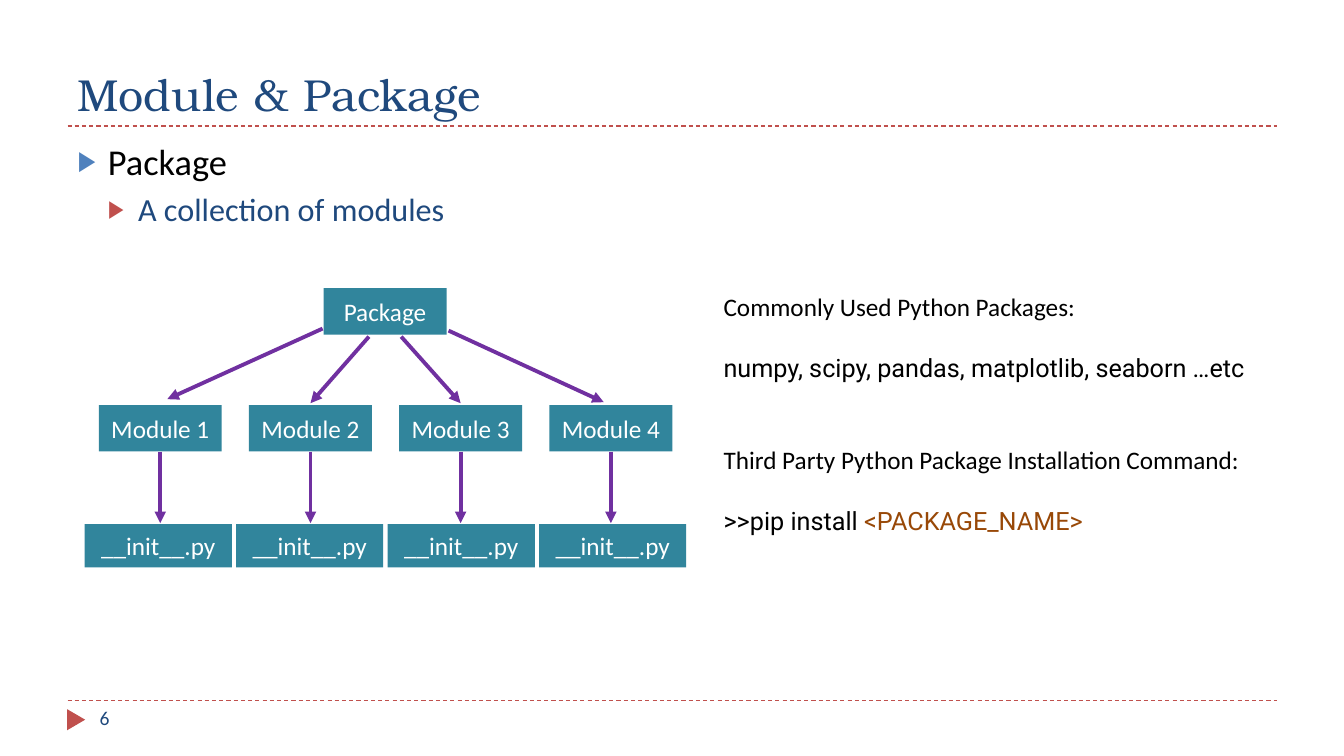
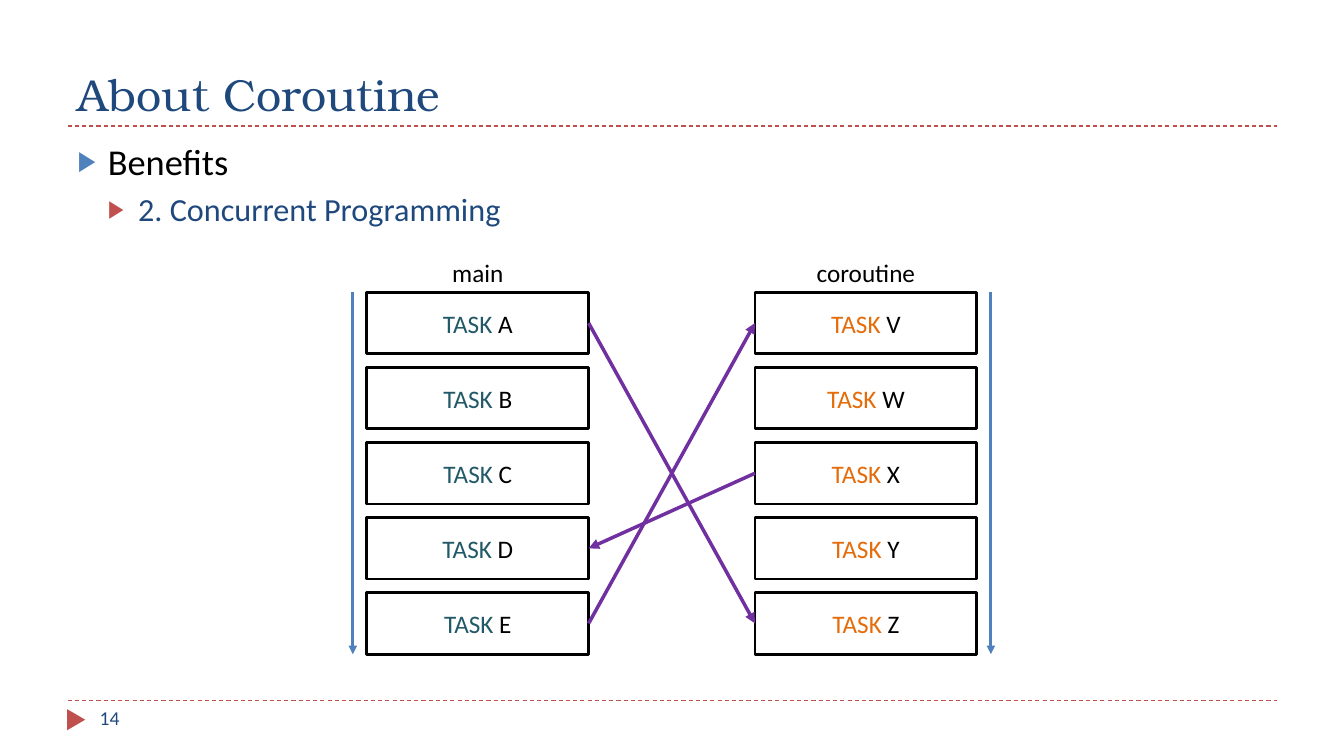
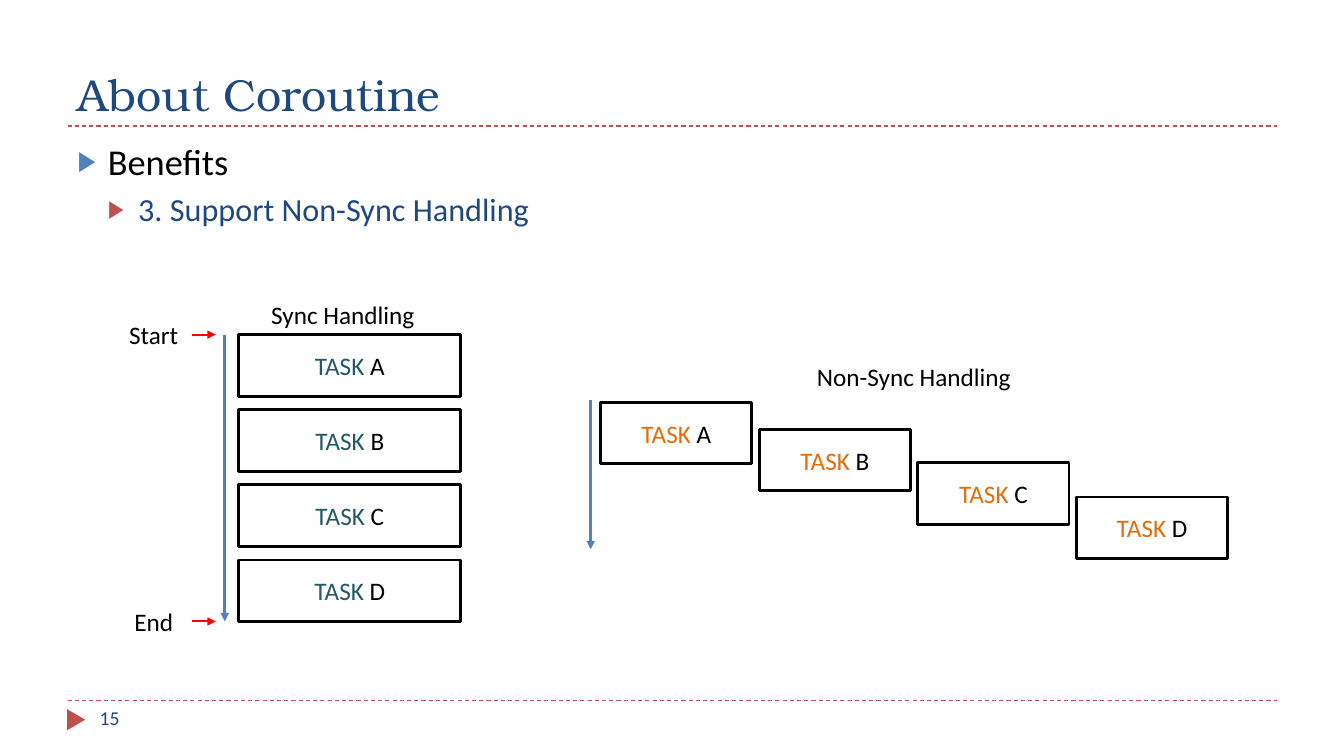
"""Three lecture slides on Python packages and coroutines."""
import lxml.etree
import pptx
import pptx.dml.color
import pptx.enum.dml
import pptx.enum.shapes
import pptx.enum.text
import pptx.oxml.ns
import pptx.util

COLORS = {
    "title": "1F497D", "text": "000000", "white": "FFFFFF",
    "accent": "C0504D", "blue": "4F81BD", "teal": "31859C",
    "dark_teal": "215968", "orange": "E46C0A", "brown": "984807",
    "purple": "7030A0", "red": "FF0000",
}
BODY_FONT, TITLE_FONT, CODE_FONT = "Calibri", "TeX Gyre Bonum", "Roboto"
CENTER = pptx.enum.text.PP_ALIGN.CENTER
LEFT = pptx.enum.text.PP_ALIGN.LEFT
MIDDLE = pptx.enum.text.MSO_ANCHOR.MIDDLE

# Task boxes, in grid cells
TASK_WIDTH, TASK_HEIGHT, TASK_PITCH = 22, 6.1, 7.45


def cells(count):
    """Return the length of a number of grid cells, ten to the inch."""
    return pptx.util.Inches(count / 10)


def color(name):
    """Return a named colour of the palette."""
    return pptx.dml.color.RGBColor.from_string(COLORS[name])


def add_xml(parent, tag, **attributes):
    """Append a DrawingML element to a parent element."""
    return lxml.etree.SubElement(parent, pptx.oxml.ns.qn(tag), attributes)


class Deck:
    """Holds the presentation, its style and the current slide."""

    def __init__(self):
        """Start a wide presentation and place the layout's placeholders."""
        self.presentation = pptx.Presentation()
        self.presentation.slide_width = cells(133.33)
        self.presentation.slide_height = cells(75)
        self.layout = self.presentation.slide_layouts[1]
        self.slide = None
        title, body = list(self.layout.placeholders)[:2]
        self.place(title, 6.7, 1.7, 120, 10.8)
        self.place(body, 6.7, 13.3, 120, 54)

    def place(self, shape, column, row, width, height):
        """Put a shape on the grid."""
        shape.left, shape.top = cells(column), cells(row)
        shape.width, shape.height = cells(width), cells(height)

    def add_text(self, paragraph, pieces, size=18, font=BODY_FONT, align=LEFT):
        """Fill a paragraph with (text, colour) pieces."""
        paragraph.alignment = align
        for text, color_name in pieces:
            run = paragraph.add_run()
            run.text = text
            run.font.size = pptx.util.Pt(size)
            run.font.name = font
            run.font.color.rgb = color(color_name)

    def add_slide(self, title, number, topic, detail):
        """Add a slide with its title, two-level list and number."""
        self.slide = self.presentation.slides.add_slide(self.layout)
        if len(self.presentation.slides) == 1:
            self.add_master_frame()
        heading, body = self.slide.placeholders
        for placeholder in (heading, body):
            placeholder.text_frame.auto_size = pptx.enum.text.MSO_AUTO_SIZE.NONE
        heading.text_frame.vertical_anchor = pptx.enum.text.MSO_ANCHOR.BOTTOM
        self.add_text(heading.text_frame.paragraphs[0], [(title, "title")],
                      32, TITLE_FONT)
        frame = body.text_frame
        self.bullet(frame.paragraphs[0], 0, topic, 26, "text", "blue")
        self.bullet(frame.add_paragraph(), 1, detail, 23, "title", "accent")
        self.label(8.9, 69.5, 28.9, [(str(number), "title")], 14, LEFT)

    def add_master_frame(self):
        """Draw the rules and corner marker once, on the slide master."""
        rules = [self.line((6.7, row), (126.7, row), "accent", 0.75)
                 for row in (12.5, 69.5)]
        for rule in rules:
            rule.line.dash_style = pptx.enum.dml.MSO_LINE.DASH
        marker = self.shape(6.5, 70.5, 2.1, 1.8, fill="accent",
                            kind=pptx.enum.shapes.MSO_SHAPE.ISOSCELES_TRIANGLE)
        marker.rotation = 90
        tree = self.presentation.slide_master.shapes.element
        for index, shape in enumerate([*rules, marker]):
            shape.element.xpath(".//p:cNvPr")[0].set("id", str(101 + index))
            tree.insert(2 + index, shape.element)

    def bullet(self, paragraph, level, text, size, color_name, bullet_color):
        """Fill one list item with a coloured triangle bullet."""
        paragraph.level = level
        paragraph.space_before = pptx.util.Pt(6 - level)
        self.add_text(paragraph, [(text, color_name)], size)
        properties = paragraph._p.get_or_add_pPr()
        indent = cells(3)
        properties.set("marL", str(indent * (level + 1)))
        properties.set("indent", str(-indent))
        add_xml(add_xml(properties, "a:buClr"), "a:srgbClr",
                val=COLORS[bullet_color])
        add_xml(properties, "a:buSzPct", val="76000")
        add_xml(properties, "a:buChar", char="▶")

    def shape(self, column, row, width, height, fill=None, outline=None,
              kind=pptx.enum.shapes.MSO_SHAPE.RECTANGLE):
        """Add a flat preset shape."""
        shape = self.slide.shapes.add_shape(
            kind, cells(column), cells(row), cells(width), cells(height))
        shape.shadow.inherit = False
        if fill:
            shape.fill.solid()
            shape.fill.fore_color.rgb = color(fill)
        else:
            shape.fill.background()
        if outline:
            shape.line.color.rgb = color(outline)
            shape.line.width = pptx.util.Pt(2)
        else:
            shape.line.fill.background()
        return shape

    def box(self, column, row, width, height, pieces, **style):
        """Add a rectangle with centred text."""
        frame = self.shape(column, row, width, height, **style).text_frame
        frame.margin_left = frame.margin_right = 0
        frame.vertical_anchor = MIDDLE
        self.add_text(frame.paragraphs[0], pieces, align=CENTER)

    def node(self, column, row, width, height, text):
        """Add a filled box of the package tree."""
        self.box(column, row, width, height, [(text, "white")], fill="teal")

    def task(self, column, row, letter, color_name, width=TASK_WIDTH):
        """Add an outlined task box."""
        self.box(column, row, width, TASK_HEIGHT,
                 [("TASK", color_name), (" " + letter, "text")],
                 outline="text")

    def task_column(self, column, row, letters, color_name):
        """Stack task boxes at an equal pitch."""
        for index, letter in enumerate(letters):
            self.task(column, row + index * TASK_PITCH, letter, color_name)

    def text_box(self, column, row, width, height):
        """Add a wrapping text box and return its text frame."""
        shape = self.slide.shapes.add_textbox(
            cells(column), cells(row), cells(width), cells(height))
        shape.text_frame.word_wrap = True
        return shape.text_frame

    def label(self, column, row, width, pieces, size=18, align=CENTER):
        """Add a one-line text."""
        frame = self.text_box(column, row, width, 4)
        self.add_text(frame.paragraphs[0], pieces, size, align=align)

    def line(self, start, end, color_name, width):
        """Add a straight line between two grid points."""
        connector = self.slide.shapes.add_connector(
            pptx.enum.shapes.MSO_CONNECTOR.STRAIGHT,
            *(cells(value) for value in (*start, *end)))
        connector.line.color.rgb = color(color_name)
        connector.line.width = pptx.util.Pt(width)
        add_xml(connector.element.spPr, "a:effectLst")
        return connector

    def arrow(self, start, end, color_name, width=2):
        """Add a line with an arrowhead at its end."""
        connector = self.line(start, end, color_name, width)
        add_xml(connector.element.spPr.get_or_add_ln(), "a:tailEnd",
                type="triangle")


def package_slide(deck):
    """Show the package tree and the install command."""
    deck.add_slide("Module & Package", 6, "Package", "A collection of modules")
    node_width, node_height = 12.2, 4.6
    deck.node(32.1, 28.6, node_width, node_height, "Package")
    for index in range(4):
        column = 9.8 + 14.9 * index
        center = column + node_width / 2
        deck.node(column, 40.2, node_width, node_height, f"Module {index + 1}")
        deck.arrow((center, 44.8), (center, 51.9), "purple", 2.75)
        deck.node(8.4 + 15.03 * index, 52, 14.6, 4.3, "__init__.py")
    branches = [((32, 32.6), (16.6, 39.6)), ((36.6, 33.4), (30.8, 40)),
                ((39.8, 33.4), (45.7, 40)), ((44.5, 32.8), (59.9, 39.9))]
    for start, end in branches:
        deck.arrow(start, end, "purple", 2.75)

    frame = deck.text_box(70.8, 28.4, 58.5, 28.3)
    notes = [
        (0, BODY_FONT, [("Commonly Used Python Packages:", "text")]),
        (22, CODE_FONT,
         [("numpy, scipy, pandas, matplotlib, seaborn …etc", "text")]),
        (44, BODY_FONT,
         [("Third Party Python Package Installation Command:", "text")]),
        (22, CODE_FONT,
         [(">>pip install ", "text"), ("<PACKAGE_NAME>", "brown")]),
    ]
    for index, (gap, font, pieces) in enumerate(notes):
        paragraph = frame.add_paragraph() if index else frame.paragraphs[0]
        paragraph.space_before = pptx.util.Pt(gap)
        deck.add_text(paragraph, pieces, font=font)


def concurrent_slide(deck):
    """Show two task columns that hand control to each other."""
    deck.add_slide("About Coroutine", 14, "Benefits",
                   "2. Concurrent Programming")
    top, main, coroutine = 29, 36.4, 74.9
    bottom = top + 4 * TASK_PITCH + TASK_HEIGHT
    columns = [(main, "main", "ABCDE", "dark_teal", main - 1.4),
               (coroutine, "coroutine", "VWXYZ", "orange",
                coroutine + TASK_WIDTH + 1.4)]
    for column, name, letters, color_name, time_column in columns:
        deck.label(column + 1.4, top - 4, 19.2, [(name, "text")])
        deck.task_column(column, top, letters, color_name)
        deck.arrow((time_column, top), (time_column, bottom), "blue")

    def main_side(index):
        """Return the right edge point of a main task."""
        return main + TASK_WIDTH, top + index * TASK_PITCH + TASK_HEIGHT / 2

    def coroutine_side(index):
        """Return the left edge point of a coroutine task."""
        return coroutine, main_side(index)[1]

    for start, end in [(main_side(4), coroutine_side(0)),
                       (coroutine_side(2), main_side(3)),
                       (main_side(0), coroutine_side(4))]:
        deck.arrow(start, end, "purple", 2.5)


def handling_slide(deck):
    """Compare synchronous with overlapping tasks."""
    deck.add_slide("About Coroutine", 15, "Benefits",
                   "3. Support Non-Sync Handling")
    top = 33.2
    bottom = top + 3 * TASK_PITCH + TASK_HEIGHT
    deck.label(24.4, top - 4, 19.2, [("Sync Handling", "text")])
    deck.task_column(23.7, top, "ABCD", "dark_teal")
    deck.arrow((22.3, top), (22.3, bottom), "blue")
    for name, row in (("Start", top), ("End", bottom)):
        deck.arrow((19, row), (21.4, row), "red", 1.5)
        deck.label(11.6, row - 2, 7.3, [(name, "text")])

    deck.label(79.2, 35.4, 22.9, [("Non-Sync Handling", "text")])
    for index, row in enumerate((39.9, 42.6, 45.9, 49.3)):
        deck.task(59.6 + 15.73 * index, row, "ABCD"[index], "orange", 15)
    deck.arrow((58.6, 39.7), (58.6, 54.5), "blue")


lecture = Deck()
package_slide(lecture)
concurrent_slide(lecture)
handling_slide(lecture)
lecture.presentation.save("out.pptx")
